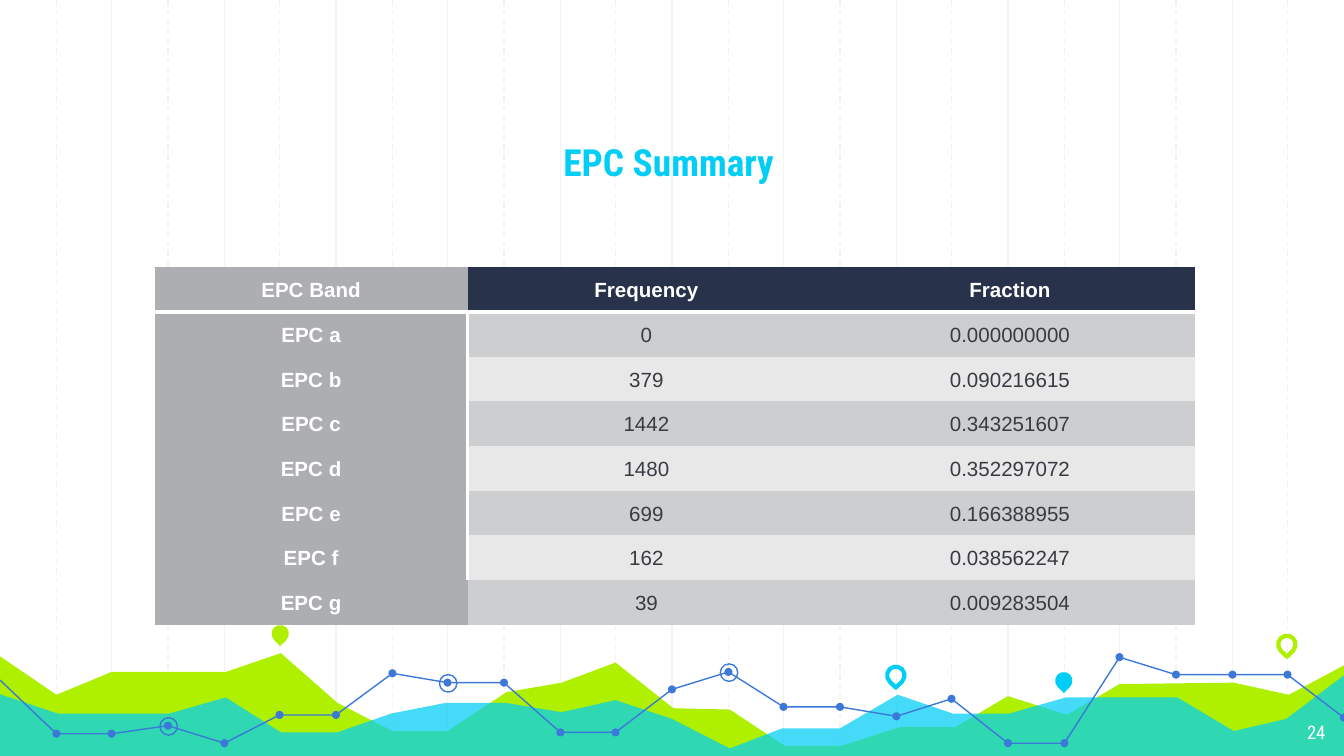
from dataclasses import dataclass

from lxml.etree import SubElement
from pptx import Presentation
from pptx.dml.color import RGBColor
from pptx.enum.dml import MSO_LINE
from pptx.enum.shapes import MSO_CONNECTOR, MSO_SHAPE
from pptx.enum.text import MSO_ANCHOR, PP_ALIGN
from pptx.oxml.ns import qn
from pptx.util import Emu, Pt

EMU_PER_PX = 9144
WIDTH = 1000
HEIGHT = WIDTH * 9 / 16
GRID_STEPS = 24
GRID_BOTTOM = 565
NO_TABLE_STYLE = "{2D5ABB26-0587-4C30-8999-92F81FD0307C}"


@dataclass(frozen=True)
class Theme:
    """Colours, fonts and sizes of the slide."""
    grid: str = "F3F3F3"
    lime: str = "AFF000"
    cyan: str = "00CEF6"
    blue: str = "3C78D8"
    white: str = "FFFFFF"
    navy: str = "28324A"
    band_label: str = "ADAEB2"
    odd_row: str = "CDCED0"
    even_row: str = "E8E8E9"
    body_text: str = "383B42"
    display_font: str = "Roboto Condensed"
    table_font: str = "Arial"
    title_size: int = 20
    number_size: int = 10
    table_size: int = 11
    thin: float = 0.75
    pin_line: float = 2.25
    border: int = 2


THEME = Theme()

LIME_RIDGE = [
    (-2, 487), (42, 517), (83, 500), (168, 500), (209, 486), (251, 523), (292, 544),
    (333, 544), (377, 515), (418, 508), (458, 493), (501, 527), (543, 528), (584, 555),
    (626, 555), (670, 541), (711, 541), (750, 518), (794, 532), (833, 509), (918, 508),
    (959, 517), (1002, 494), (1001, 564), (-3, 564),
]
CYAN_RIDGE = [
    (-2, 516), (43, 531), (126, 531), (168, 519), (209, 545), (251, 545), (291, 531),
    (332, 523), (376, 523), (418, 530), (458, 521), (500, 535), (543, 557), (582, 542),
    (625, 542), (668, 517), (709, 531), (751, 531), (793, 519), (876, 519), (918, 544),
    (957, 535), (1002, 501), (1002, 565), (-3, 565),
]
TREND_HEIGHTS = [
    506, 546, 546, 540, 553, 532, 532, 501, 508, 508, 545, 545, 513,
    500, 526, 526, 533, 520, 553, 553, 489, 502, 502, 502, 534,
]
TREND_BREAKS = [(0, 11), (11, 20), (20, 24)]
RINGED_STEPS = [8, 3, 13]
PINS = [
    (202, 465, THEME.lime, True),
    (660, 496, THEME.cyan, False),
    (785, 500, THEME.cyan, True),
    (951, 473, THEME.lime, False),
]
COLUMN_WIDTHS = [233, 266, 275]
EPC_ROWS = [
    ("EPC Band", "Frequency", "Fraction"),
    ("EPC a", "0", "0.000000000"),
    ("EPC b", "379", "0.090216615"),
    ("EPC c", "1442", "0.343251607"),
    ("EPC d", "1480", "0.352297072"),
    ("EPC e", "699", "0.166388955"),
    ("EPC f", "162", "0.038562247"),
    ("EPC g", "39", "0.009283504"),
]


def px(length):
    """Turn pixels into EMU."""
    return Emu(round(length * EMU_PER_PX))


def rgb(colour):
    """Turn a hex string into a colour."""
    return RGBColor.from_string(colour)


def grid_x(step):
    """Give the horizontal place of a grid step."""
    return round(step * WIDTH / GRID_STEPS)


def paint(shape, fill=None, line=None, width=THEME.thin):
    """Set fill and outline, leaving out whichever is not given."""
    shape.shadow.inherit = False
    if fill:
        shape.fill.solid()
        shape.fill.fore_color.rgb = rgb(fill)
    else:
        shape.fill.background()
    if line:
        shape.line.color.rgb = rgb(line)
        shape.line.width = Pt(width)
    else:
        shape.line.fill.background()


def add_grid_line(slide, step, dashed):
    """Draw one vertical grid line."""
    x = px(grid_x(step))
    rule = slide.shapes.add_connector(MSO_CONNECTOR.STRAIGHT, x, 0, x, px(GRID_BOTTOM))
    rule.line.color.rgb = rgb(THEME.grid)
    rule.line.width = Pt(THEME.thin)
    if dashed:
        rule.line.dash_style = MSO_LINE.DASH
    SubElement(rule._element.spPr, qn("a:effectLst"))


def add_path(slide, points, close):
    """Build an outline through the points."""
    builder = slide.shapes.build_freeform(*points[0], scale=EMU_PER_PX)
    builder.add_line_segments(points[1:], close=close)
    return builder.convert_to_shape()


def add_ridge(slide, points, colour, opacity=100):
    """Draw a filled area along the foot of the slide."""
    ridge = add_path(slide, points, True)
    paint(ridge, fill=colour)
    if opacity < 100:
        tint = ridge._element.spPr.find(qn("a:solidFill"))[0]
        SubElement(tint, qn("a:alpha"), val=str(opacity * 1000))


def add_pin(slide, left, top, colour, filled):
    """Draw a map pin, solid or outlined."""
    pin = slide.shapes.add_shape(MSO_SHAPE.TEAR, px(left), px(top), px(13), px(13))
    pin.rotation = 135
    if filled:
        paint(pin, fill=colour)
    else:
        paint(pin, line=colour, width=THEME.pin_line)


def add_circle(slide, centre, size, **colours):
    """Draw a circle around a trend point."""
    left, top = (place - size // 2 for place in centre)
    circle = slide.shapes.add_shape(MSO_SHAPE.OVAL, px(left), px(top), px(size), px(size))
    paint(circle, **colours)


def add_trend(slide):
    """Draw the trend line with its dots and rings."""
    points = [(grid_x(step), y) for step, y in enumerate(TREND_HEIGHTS)]
    for first, last in TREND_BREAKS:
        paint(add_path(slide, points[first:last + 1], False), line=THEME.blue)
    for point in points[1:]:
        add_circle(slide, point, 6, fill=THEME.blue)
    for step in RINGED_STEPS:
        add_circle(slide, points[step], 13, line=THEME.blue)


def style_font(paragraph, name, size, colour, bold=False):
    """Set the type of a paragraph."""
    font = paragraph.font
    font.name, font.size, font.bold = name, Pt(size), bold
    font.color.rgb = rgb(colour)


def add_label(slide, box, text, align, anchor, size, colour, bold=False):
    """Add a line of text in the display font."""
    frame = slide.shapes.add_textbox(*map(px, box)).text_frame
    frame.word_wrap = True
    frame.vertical_anchor = anchor
    frame.margin_left = frame.margin_right = frame.margin_top = frame.margin_bottom = px(10)
    paragraph = frame.paragraphs[0]
    paragraph.text = text
    paragraph.alignment = align
    style_font(paragraph, THEME.display_font, size, colour, bold)


def add_border(cell, side):
    """Draw a white border on one side of a cell."""
    edge = SubElement(cell._tc.get_or_add_tcPr(), qn(f"a:{side}"), w=str(Pt(THEME.border)))
    SubElement(SubElement(edge, qn("a:solidFill")), qn("a:srgbClr"), val=THEME.white)


def fill_cell(cell, text, row, column):
    """Write and style one table cell."""
    last_row = len(EPC_ROWS) - 1
    if column == 0 and 0 < row < last_row:
        add_border(cell, "lnR")
    if row == 0:
        add_border(cell, "lnB")
    if column == 0:
        fill = THEME.band_label
    elif row == 0:
        fill = THEME.navy
    else:
        fill = THEME.odd_row if row % 2 else THEME.even_row
    cell.fill.solid()
    cell.fill.fore_color.rgb = rgb(fill)
    cell.vertical_anchor = MSO_ANCHOR.MIDDLE
    cell.margin_left = cell.margin_right = px(7)
    cell.margin_top = cell.margin_bottom = 0
    paragraph = cell.text_frame.paragraphs[0]
    paragraph.text = text
    paragraph.alignment = PP_ALIGN.CENTER
    paragraph.line_spacing = 1.07
    paragraph.space_after = Pt(8)
    heading = row == 0 or column == 0
    colour = THEME.white if heading else THEME.body_text
    style_font(paragraph, THEME.table_font, THEME.table_size, colour, heading)


def add_epc_table(slide):
    """Add the table of EPC bands."""
    table = slide.shapes.add_table(
        len(EPC_ROWS), len(COLUMN_WIDTHS), px(115), px(199), px(sum(COLUMN_WIDTHS)), px(266)
    ).table
    table._tbl.tblPr.find(qn("a:tableStyleId")).text = NO_TABLE_STYLE
    table.horz_banding = False
    for column, width in zip(table.columns, COLUMN_WIDTHS):
        column.width = px(width)
    for row, values in enumerate(EPC_ROWS):
        for column, text in enumerate(values):
            fill_cell(table.cell(row, column), text, row, column)


def main():
    """Build the slide and save it."""
    deck = Presentation()
    deck.slide_width, deck.slide_height = px(WIDTH), px(HEIGHT)
    slide = deck.slides.add_slide(deck.slide_layouts[6])
    for step in range(1, GRID_STEPS):
        add_grid_line(slide, step, dashed=step % 2 == 1)
    add_ridge(slide, LIME_RIDGE, THEME.lime)
    add_ridge(slide, CYAN_RIDGE, THEME.cyan, opacity=73)
    for pin in PINS:
        add_pin(slide, *pin)
    add_trend(slide)
    add_label(slide, (115, 69, 765, 78), "EPC Summary", PP_ALIGN.CENTER,
              MSO_ANCHOR.BOTTOM, THEME.title_size, THEME.cyan, bold=True)
    add_label(slide, (936, 528, 60, 35), "24", PP_ALIGN.RIGHT,
              MSO_ANCHOR.TOP, THEME.number_size, THEME.white)
    add_epc_table(slide)
    deck.save("out.pptx")


if __name__ == "__main__":
    main()
